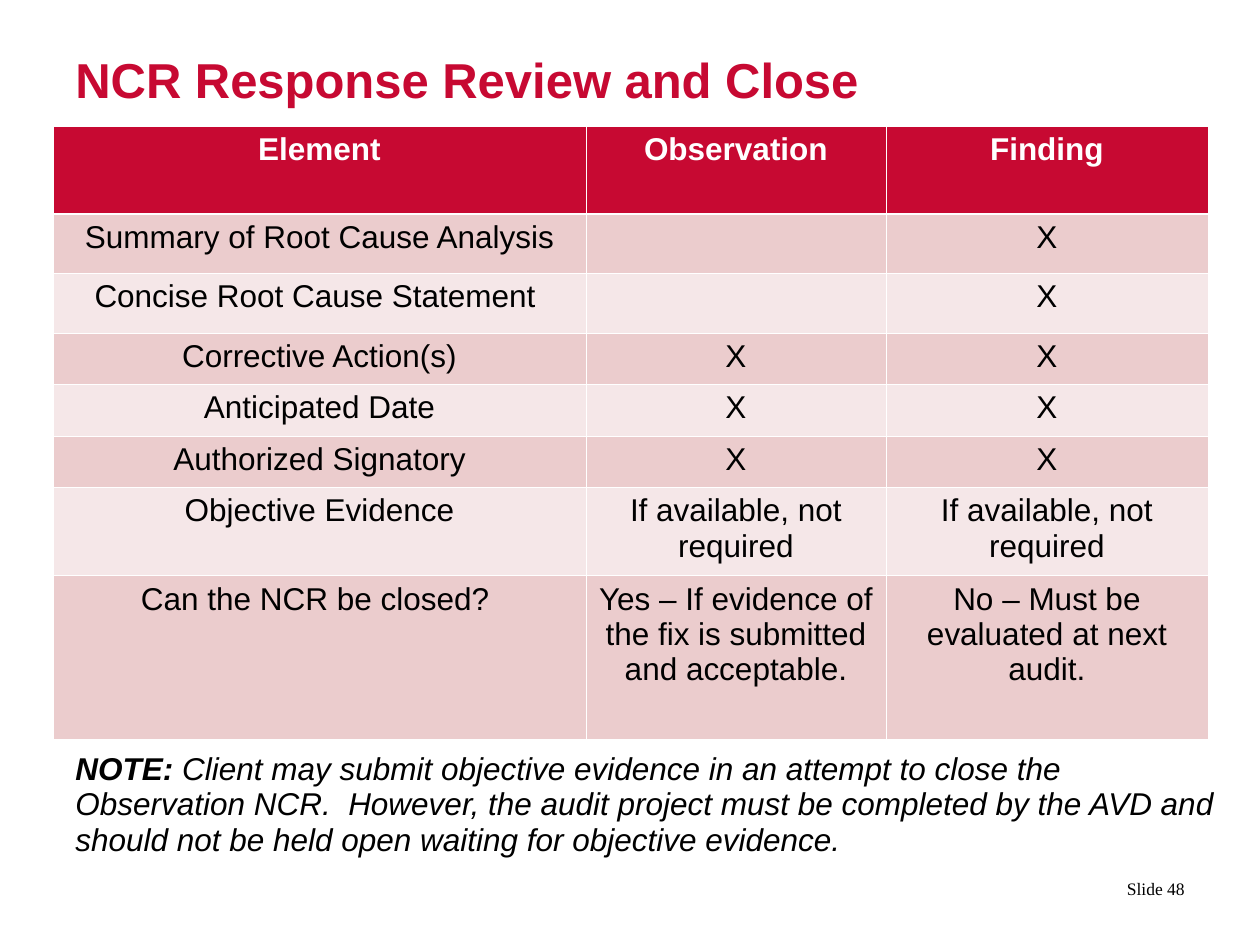
"""Build the NCR response review slide with its element table and note."""
from dataclasses import dataclass

import lxml.etree
import pptx
import pptx.dml.color
import pptx.enum.text
import pptx.oxml.ns
import pptx.util

ALIGN = pptx.enum.text.PP_ALIGN
ANCHOR = pptx.enum.text.MSO_ANCHOR


@dataclass(frozen=True)
class Theme:
    red: str = "C70932"
    dark_band: str = "EBCCCD"
    light_band: str = "F5E7E8"
    white: str = "FFFFFF"
    black: str = "000000"
    sans: str = "Arial"
    serif: str = "Times New Roman"
    title_pt: int = 28
    body_pt: int = 18
    footer_pt: int = 10
    thin_pt: float = 0.45
    thick_pt: float = 1.47


@dataclass(frozen=True)
class Style:
    size: int
    color: str
    font: str
    bold: bool = False
    italic: bool = False


@dataclass(frozen=True)
class Label:
    left: int
    top: int
    width: int
    height: int
    runs: tuple[tuple[str, Style], ...]
    align: ALIGN = ALIGN.LEFT
    anchor: ANCHOR = ANCHOR.TOP
    inset_top: int = 6
    spacing: float = 1.0


@dataclass(frozen=True)
class Row:
    height: int
    texts: tuple[str, str, str]


THEME = Theme()
HEADER = Style(THEME.body_pt, THEME.white, THEME.sans, bold=True)
BODY = Style(THEME.body_pt, THEME.black, THEME.sans)
TITLE = Style(THEME.title_pt, THEME.red, THEME.sans, bold=True)
NOTE = Style(THEME.body_pt, THEME.black, THEME.sans, italic=True)
NOTE_LEAD = Style(THEME.body_pt, THEME.black, THEME.sans, bold=True, italic=True)
FOOTER = Style(THEME.footer_pt, THEME.black, THEME.serif)

LABELS = (
    Label(63, 38, 1134, 98, (("NCR Response Review and Close", TITLE),), inset_top=12),
    Label(63, 746, 1176, 136, (
        ("NOTE:", NOTE_LEAD),
        (" Client may submit objective evidence in an attempt to close "
         "the Observation NCR.  However, the audit project must be completed by the AVD "
         "and should not be held open waiting for objective evidence.", NOTE),
    ), spacing=0.94),
    Label(1109, 864, 88, 50, (("Slide 48", FOOTER),), ALIGN.RIGHT, ANCHOR.MIDDLE),
)

COLUMNS = (533, 300, 322)
ROWS = (
    Row(88, ("Element", "Observation", "Finding")),
    Row(59, ("Summary of Root Cause Analysis", "", "X")),
    Row(60, ("Concise Root Cause Statement ", "", "X")),
    Row(51, ("Corrective Action(s)", "X", "X")),
    Row(52, ("Anticipated Date", "X", "X")),
    Row(51, ("Authorized Signatory", "X", "X")),
    Row(88, ("Objective Evidence", "If available, not required", "If available, not required")),
    Row(164, ("Can the NCR be closed? ",
              "Yes – If evidence of the fix is submitted and acceptable.",
              "No – Must be evaluated at next audit.")),
)


def px(n: int) -> pptx.util.Emu:
    """Turn pixels at 126 to the inch into EMU."""
    return pptx.util.Emu(round(n * 914400 / 126))


def rgb(color: str) -> pptx.dml.color.RGBColor:
    """Return the colour object for a hex string."""
    return pptx.dml.color.RGBColor.from_string(color)


def format_run(r, style: Style) -> None:
    """Apply a text style to a run."""
    r.font.size = pptx.util.Pt(style.size)
    r.font.name = style.font
    r.font.bold = style.bold
    r.font.italic = style.italic
    r.font.color.rgb = rgb(style.color)


def draw_label(s, label: Label) -> None:
    """Draw one text box of styled runs."""
    sp = s.shapes.add_textbox(px(label.left), px(label.top), px(label.width), px(label.height))
    tf = sp.text_frame
    tf.word_wrap = True
    tf.vertical_anchor = label.anchor
    tf.margin_top = px(label.inset_top)
    p = tf.paragraphs[0]
    p.alignment = label.align
    p.line_spacing = label.spacing
    for text, style in label.runs:
        r = p.add_run()
        r.text = text
        format_run(r, style)


def add_border(cell, side: str, width: float) -> None:
    """Add a white border to one side of a cell."""
    qn = pptx.oxml.ns.qn
    ln = lxml.etree.SubElement(cell._tc.get_or_add_tcPr(), qn(f"a:ln{side}"),
                               w=str(int(pptx.util.Pt(width))))
    fill = lxml.etree.SubElement(ln, qn("a:solidFill"))
    lxml.etree.SubElement(fill, qn("a:srgbClr"), val=THEME.white)


def draw_cell(cell, text: str, row: int) -> None:
    """Fill one table cell and set its borders and centred text."""
    thick_side = {0: "B", 1: "T"}.get(row)
    for side in "LRTB":
        add_border(cell, side, THEME.thick_pt if side == thick_side else THEME.thin_pt)
    band = THEME.dark_band if row % 2 else THEME.light_band
    cell.fill.solid()
    cell.fill.fore_color.rgb = rgb(band if row else THEME.red)
    cell.text_frame.text = text
    p = cell.text_frame.paragraphs[0]
    p.alignment = ALIGN.CENTER
    for r in p.runs:
        format_run(r, BODY if row else HEADER)


def draw_table(s, left: int, top: int) -> None:
    """Draw the table of required response elements."""
    height = sum(row.height for row in ROWS)
    table = s.shapes.add_table(len(ROWS), len(COLUMNS), px(left), px(top),
                               px(sum(COLUMNS)), px(height)).table
    for column, width in zip(table.columns, COLUMNS):
        column.width = px(width)
    for i, row in enumerate(ROWS):
        table.rows[i].height = px(row.height)
        for j, text in enumerate(row.texts):
            draw_cell(table.cell(i, j), text, i)


def main() -> None:
    """Build and save the slide."""
    prs = pptx.Presentation()
    prs.slide_width, prs.slide_height = px(1260), px(945)
    s = prs.slides.add_slide(prs.slide_layouts[6])
    for label in LABELS:
        draw_label(s, label)
    draw_table(s, 53, 126)
    prs.save("out.pptx")


if __name__ == "__main__":
    main()
